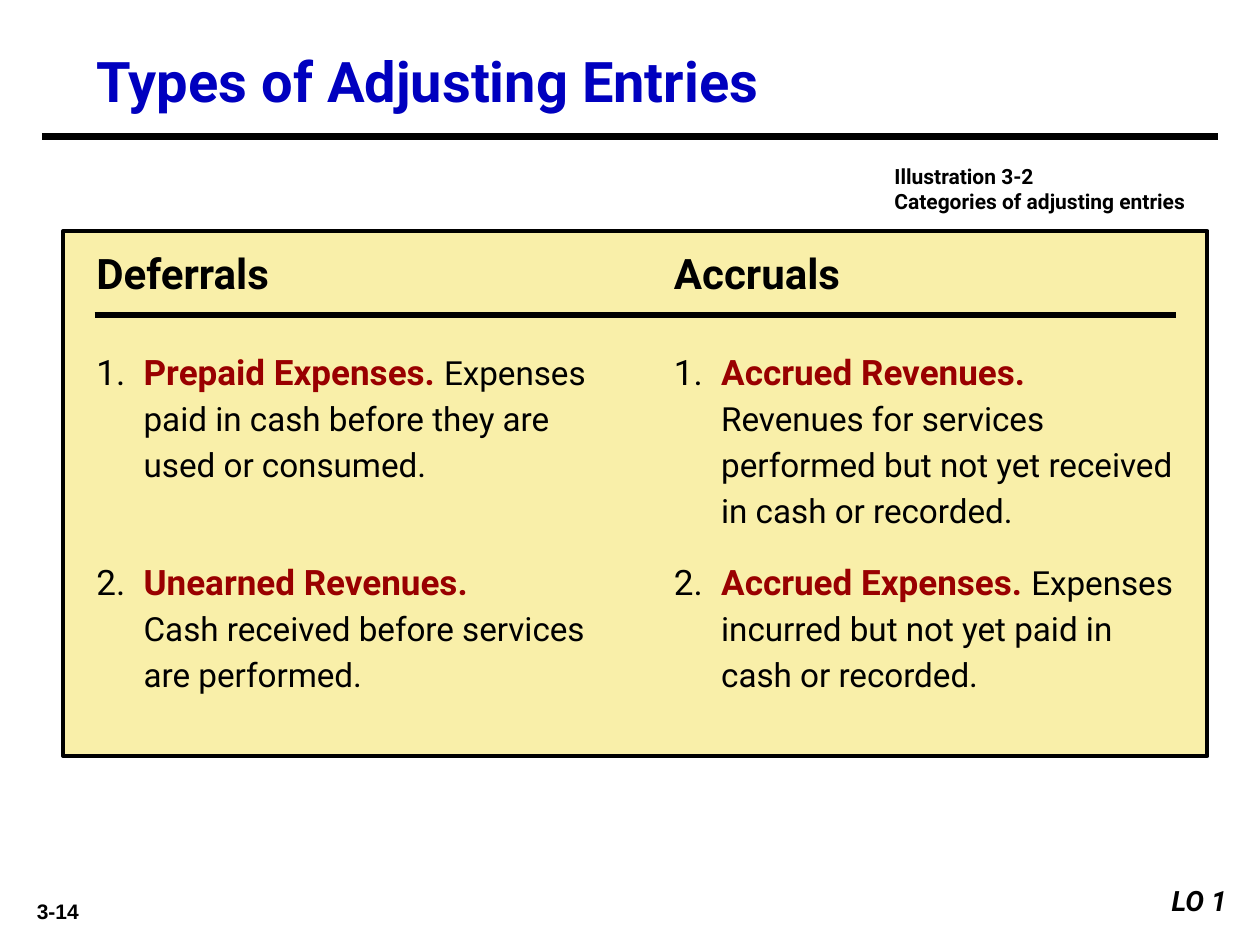
from dataclasses import dataclass
from typing import NamedTuple

from lxml.etree import SubElement
from pptx import Presentation
from pptx.dml.color import RGBColor as Color
from pptx.enum.shapes import MSO_CONNECTOR as Connector, MSO_SHAPE as Shape
from pptx.enum.text import MSO_ANCHOR as Anchor, PP_ALIGN as Align
from pptx.oxml.ns import qn
from pptx.util import Emu, Pt

PX = 7620


@dataclass(frozen=True)
class Theme:
    font: str = "Roboto"
    number_font: str = "Arial"
    black: str = "000000"
    white: str = "FFFFFF"
    blue: str = "0000BF"
    red: str = "990000"
    cream: str = "F9EFA9"
    title: int = 32
    heading: int = 24
    term: int = 20
    body: int = 19
    footer: int = 16
    small: int = 12


THEME = Theme()


class Area(NamedTuple):
    left: int
    top: int
    width: int
    height: int


class Span(NamedTuple):
    text: str
    size: int
    color: str = THEME.black
    bold: bool = True
    italic: bool = False
    font: str = THEME.font


class Para(NamedTuple):
    spans: list[Span]
    align: Align = Align.LEFT
    margin: int = 0
    indent: int = 0
    spacing: float = 1.0


class Entry(NamedTuple):
    number: int
    term: str
    meaning: str
    own_line: bool = False


class Category(NamedTuple):
    heading: str
    left: int
    entries: list[Entry]


CATEGORIES = [
    Category("Deferrals", 80, [
        Entry(1, "Prepaid Expenses.", "Expenses paid in cash before they are used or consumed."),
        Entry(2, "Unearned Revenues.", "Cash received before services are performed.", True),
    ]),
    Category("Accruals", 630, [
        Entry(1, "Accrued Revenues.",
              "Revenues for services performed but not yet received in cash or recorded."),
        Entry(2, "Accrued Expenses.", "Expenses incurred but not yet paid in cash or recorded."),
    ]),
]
HANG = 45
ENTRY_TOP = 310
ENTRY_STEP = 200
ENTRY_SPACING = 1.15


def px(length: int) -> Emu:
    return Emu(length * PX)


def add_text(page, area: Area, paras: list[Para], anchor: Anchor = Anchor.TOP,
             inset_top: int = 6, fill: str | None = None) -> None:
    box = page.shapes.add_textbox(*map(px, area))
    if fill:
        box.fill.solid()
        box.fill.fore_color.rgb = Color.from_string(fill)
    frame = box.text_frame
    frame.word_wrap = True
    frame.vertical_anchor = anchor
    frame.margin_left = frame.margin_right = px(12)
    frame.margin_top, frame.margin_bottom = px(inset_top), px(6)
    for index, para in enumerate(paras):
        paragraph = frame.add_paragraph() if index else frame.paragraphs[0]
        paragraph.alignment = para.align
        paragraph.line_spacing = para.spacing
        properties = paragraph._p.get_or_add_pPr()
        properties.set("marL", str(px(para.margin)))
        properties.set("indent", str(px(para.indent)))
        for span in para.spans:
            run = paragraph.add_run()
            run.text = span.text
            run.font.name = span.font
            run.font.size = Pt(span.size)
            run.font.bold = span.bold
            run.font.italic = span.italic
            run.font.color.rgb = Color.from_string(span.color)


def add_rule(page, left: int, right: int, y: int, weight: float) -> None:
    rule = page.shapes.add_connector(Connector.STRAIGHT, px(left), px(y), px(right), px(y))
    rule.line.color.rgb = Color.from_string(THEME.black)
    rule.line.width = Pt(weight)
    SubElement(rule._element.spPr, qn("a:effectLst"))


def add_panel(page, area: Area) -> None:
    panel = page.shapes.add_shape(Shape.RECTANGLE, *map(px, area))
    panel.shadow.inherit = False
    panel.fill.solid()
    panel.fill.fore_color.rgb = Color.from_string(THEME.cream)
    panel.line.color.rgb = Color.from_string(THEME.black)
    panel.line.width = Pt(2.25)


def add_entry(page, left: int, entry: Entry) -> None:
    number = Span(f"{entry.number}.\t", THEME.term, bold=False)
    meaning = Span(entry.meaning, THEME.body, bold=False)
    gap = "" if entry.own_line else " "
    lead = [number, Span(entry.term + gap, THEME.term, THEME.red)]
    if entry.own_line:
        paras = [Para(lead, margin=HANG, indent=-HANG, spacing=ENTRY_SPACING),
                 Para([meaning], margin=HANG, spacing=ENTRY_SPACING)]
    else:
        paras = [Para([*lead, meaning], margin=HANG, indent=-HANG, spacing=ENTRY_SPACING)]
    top = ENTRY_TOP + ENTRY_STEP * (entry.number - 1)
    add_text(page, Area(left, top, 500, 210), paras, inset_top=18)


def add_category(page, category: Category) -> None:
    heading = Para([Span(category.heading, THEME.heading)])
    add_text(page, Area(category.left, 230, 380, 60), [heading], Anchor.MIDDLE)
    for entry in category.entries:
        add_entry(page, category.left, entry)


def main() -> None:
    deck = Presentation()
    deck.slide_width, deck.slide_height = px(1200), px(900)
    page = deck.slides.add_slide(deck.slide_layouts[6])

    add_text(page, Area(80, 40, 1080, 73),
             [Para([Span("Types of Adjusting Entries", THEME.title, THEME.blue)])], Anchor.MIDDLE)
    add_rule(page, 40, 1160, 130, 4.5)
    caption = ["Illustration 3-2", "Categories of adjusting entries"]
    add_text(page, Area(840, 150, 330, 60),
             [Para([Span(line, THEME.small)]) for line in caption], fill=THEME.white)

    add_panel(page, Area(60, 220, 1090, 500))
    for category in CATEGORIES:
        add_category(page, category)
    add_rule(page, 90, 1120, 300, 3)

    page_number = Span("3-14", THEME.small, font=THEME.number_font)
    add_text(page, Area(10, 850, 90, 36), [Para([page_number], Align.CENTER)])
    objective = Span("LO 1", THEME.footer, italic=True)
    add_text(page, Area(1060, 836, 120, 44), [Para([objective], Align.RIGHT)], fill=THEME.white)

    deck.save("out.pptx")


if __name__ == "__main__":
    main()
